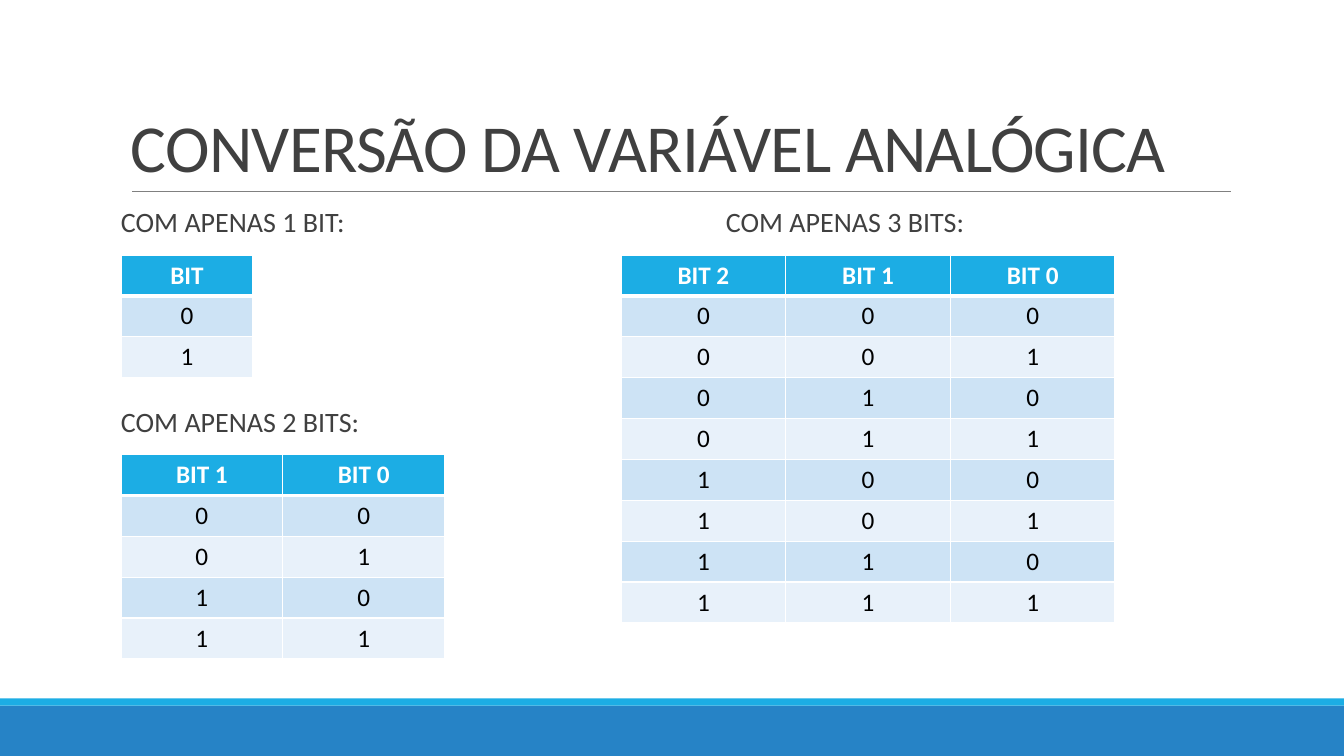
from dataclasses import dataclass
from itertools import product

from lxml import etree
from pptx import Presentation
from pptx.dml.color import RGBColor
from pptx.enum.shapes import MSO_CONNECTOR, MSO_SHAPE
from pptx.enum.text import MSO_ANCHOR, PP_ALIGN
from pptx.oxml.ns import qn
from pptx.slide import Slide
from pptx.table import _Cell
from pptx.text.text import _Paragraph
from pptx.util import Inches, Pt

RECT = MSO_SHAPE.RECTANGLE
STRAIGHT = MSO_CONNECTOR.STRAIGHT
TOP, BOTTOM = MSO_ANCHOR.TOP, MSO_ANCHOR.BOTTOM
LEFT, CENTER = PP_ALIGN.LEFT, PP_ALIGN.CENTER


@dataclass(frozen=True)
class Theme:
    font: str = "Calibri"
    ink: str = "404040"
    rule: str = "808080"
    deep: str = "2683C6"
    bright: str = "1CADE4"
    white: str = "FFFFFF"
    black: str = "000000"
    bands: tuple[str, str] = ("CDE3F5", "E8F1FA")
    title: float = 48
    label: float = 20
    cell: float = 18
    thin: float = 1
    thick: float = 3
    row: float = 3.65 / 9


@dataclass(frozen=True)
class Bar:
    top: float
    height: float
    color: str


@dataclass(frozen=True)
class Label:
    text: str
    left: float
    top: float
    width: float
    height: float
    size: float
    inset: float = 0
    anchor: MSO_ANCHOR = TOP
    line: float = 0.9
    track: int = 0


@dataclass(frozen=True)
class Grid:
    heads: tuple[str, ...]
    left: float
    top: float
    width: float


THEME = Theme()
BARS = (Bar(7, 0.5, THEME.deep), Bar(6.93, 0.07, THEME.bright))
LABELS = (
    Label("CONVERSÃO DA VARIÁVEL ANALÓGICA", 1.2, 0.31, 11, 1.59, THEME.title,
          0.1, BOTTOM, 0.85, -50),
    Label("COM APENAS 1 BIT:", 1.2, 2.02, 4, 0.4, THEME.label),
    Label("COM APENAS 2 BITS:", 1.2, 4, 4, 0.4, THEME.label),
    Label("COM APENAS 3 BITS:", 7.2, 2.02, 4, 0.4, THEME.label),
)
GRIDS = (
    Grid(("BIT",), 1.2, 2.53, 1.31),
    Grid(("BIT 1", "BIT 0"), 1.2, 4.51, 3.21),
    Grid(("BIT 2", "BIT 1", "BIT 0"), 6.16, 2.53, 4.9),
)


def style(para: _Paragraph, size: float, color: str, bold: bool) -> None:
    look = {"name": THEME.font, "size": Pt(size), "bold": bold}
    for run in para.runs:
        for key, value in look.items():
            setattr(run.font, key, value)
        run.font.color.rgb = RGBColor.from_string(color)


def draw_bar(slide: Slide, bar: Bar) -> None:
    shape = slide.shapes.add_shape(
        RECT, 0, Inches(bar.top), Inches(13.33), Inches(bar.height))
    shape.shadow.inherit = False
    shape.fill.solid()
    shape.fill.fore_color.rgb = RGBColor.from_string(bar.color)
    shape.line.fill.background()


def draw_rule(slide: Slide) -> None:
    rule = slide.shapes.add_connector(
        STRAIGHT, Inches(1.31), Inches(1.9), Inches(12.21), Inches(1.9))
    rule.line.color.rgb = RGBColor.from_string(THEME.rule)
    rule.line.width = Pt(0.5)
    etree.SubElement(rule._element.spPr, qn("a:effectLst"))


def draw_label(slide: Slide, label: Label) -> None:
    box = slide.shapes.add_textbox(
        Inches(label.left), Inches(label.top),
        Inches(label.width), Inches(label.height))
    frame = box.text_frame
    look = {"word_wrap": True, "vertical_anchor": label.anchor,
            "margin_left": Inches(label.inset),
            "margin_right": Inches(label.inset)}
    for key, value in look.items():
        setattr(frame, key, value)
    para = frame.paragraphs[0]
    para.text = label.text
    para.alignment = LEFT
    para.line_spacing = label.line
    style(para, label.size, THEME.ink, False)
    if label.track:
        para.runs[0].font._element.set("spc", str(label.track))


def set_edge(cell: _Cell, row: int) -> None:
    props = cell._tc.get_or_add_tcPr()
    wide = {"T": row == 1, "B": row == 0}
    for spot, side in enumerate("LRTB"):
        size = THEME.thick if wide.get(side) else THEME.thin
        edge = etree.Element(qn(f"a:ln{side}"), w=str(Pt(size)))
        fill = etree.SubElement(edge, qn("a:solidFill"))
        etree.SubElement(fill, qn("a:srgbClr"), val=THEME.white)
        props.insert(spot, edge)


def draw_grid(slide: Slide, grid: Grid) -> None:
    count = len(grid.heads)
    rows = [grid.heads, *product("01", repeat=count)]
    table = slide.shapes.add_table(
        len(rows), count, Inches(grid.left), Inches(grid.top),
        Inches(grid.width), Inches(THEME.row * len(rows))).table
    for row, texts in enumerate(rows):
        head = row == 0
        fill = THEME.bright if head else THEME.bands[(row - 1) % 2]
        color = THEME.white if head else THEME.black
        for col, text in enumerate(texts):
            cell = table.cell(row, col)
            cell.fill.solid()
            cell.fill.fore_color.rgb = RGBColor.from_string(fill)
            para = cell.text_frame.paragraphs[0]
            para.text = text
            para.alignment = CENTER
            style(para, THEME.cell, color, head)
            set_edge(cell, row)


def main() -> None:
    deck = Presentation()
    deck.slide_width = Inches(13.33)
    deck.slide_height = Inches(7.5)
    slide = deck.slides.add_slide(deck.slide_layouts[6])
    for bar in BARS:
        draw_bar(slide, bar)
    draw_rule(slide)
    for label in LABELS:
        draw_label(slide, label)
    for grid in GRIDS:
        draw_grid(slide, grid)
    deck.save("out.pptx")


if __name__ == "__main__":
    main()
